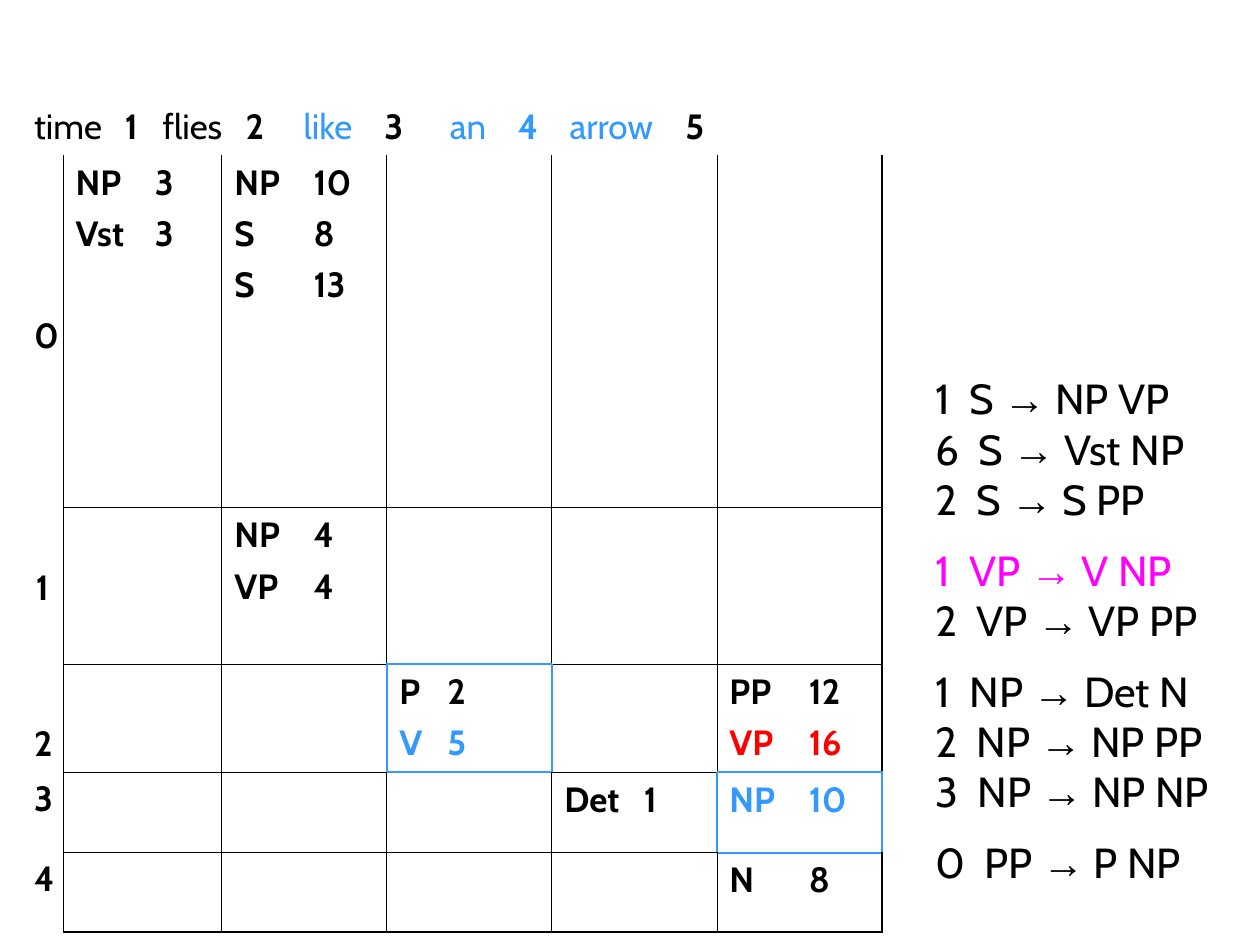
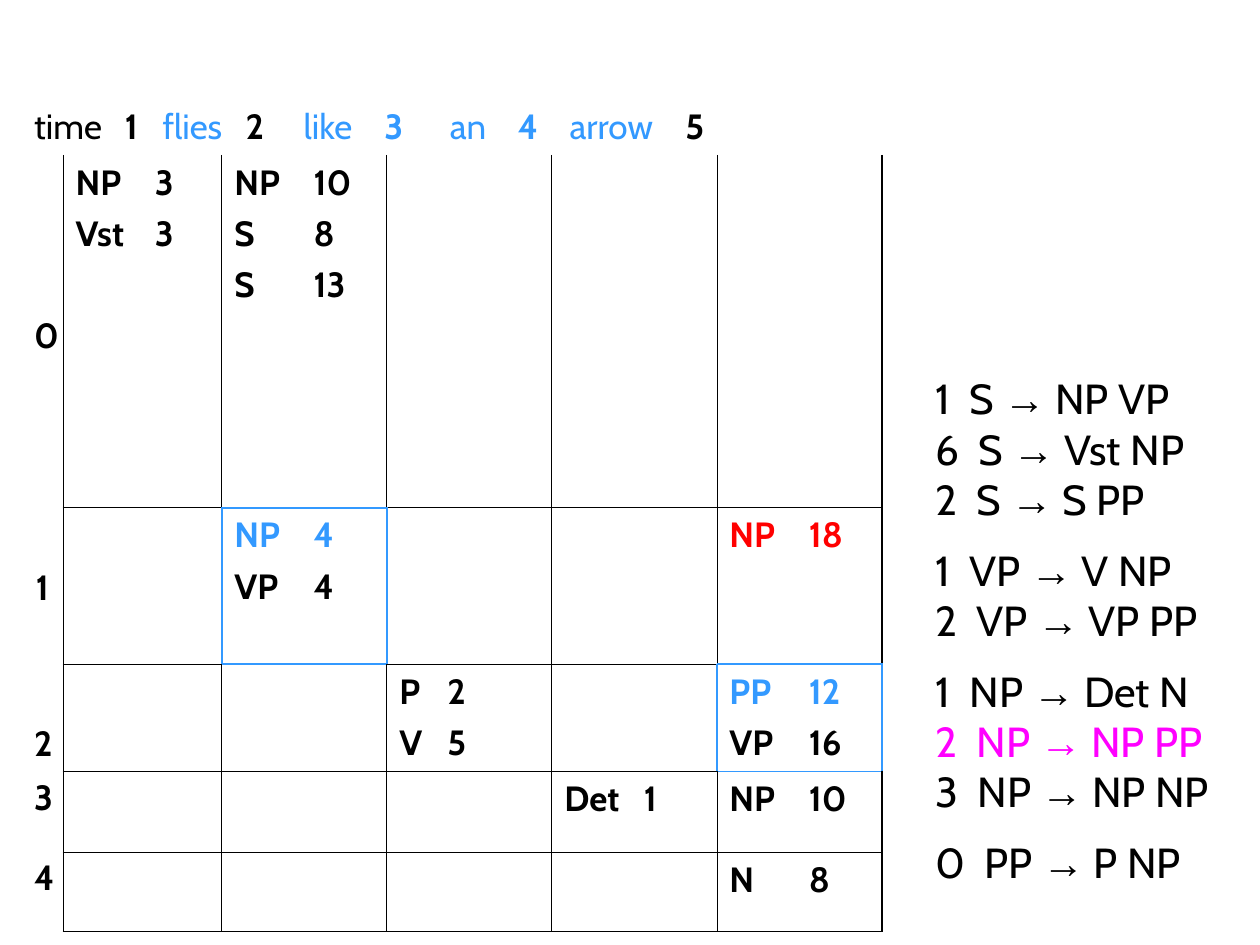
from pptx import Presentation
from pptx.dml.color import RGBColor as Rgb
from pptx.enum.text import PP_ALIGN as Align, MSO_AUTO_SIZE as AutoSize
from pptx.oxml.ns import qn
from pptx.util import Inches, Pt
from lxml.etree import SubElement

COLOURS = {"ink": "000000", "used": "3399FF", "new": "FF0000", "rule": "FF00FF"}
FONT, ARROW_FONT = "Cabin", "Arial"

# Chart geometry, in inches
CHART_BOX = (0.17, 0.79)
RULES_BOX = (7.33, 2.91, 2.67, 4.18)
COLUMN_WIDTHS = [0.33, 1.26] + [1.31] * 4
ROW_HEIGHTS = [0.44, 2.8, 1.24, 0.84, 0.64, 0.63]
LAST_ROW, LAST_COLUMN = len(ROW_HEIGHTS) - 1, len(COLUMN_WIDTHS) - 1
LABEL_TOPS = [1.27, 0.47, 0.47, 0.04, 0.04]
THIN, THICK = 0.45, 1.08

# Sentence: words with the position that follows each, and their tab stops
SENTENCE = ["time", "1", "flies", "2", "like", "3", "an", "4", "arrow", "5"]
SENTENCE_TABS = [0.72, 1.02, 1.68, 2.14, 2.78, 3.3, 3.84, 4.25, 5.17]

# Chart entries by (row, column)
ENTRIES = {
    (1, 1): ["NP\t3", "Vst\t3"],
    (1, 2): ["NP\t10", "S\t8", "S\t13"],
    (2, 2): ["NP\t4", "VP\t4"],
    (3, 3): ["P\t2", "V\t5"],
    (3, 5): ["PP\t12", "VP\t16"],
    (4, 4): ["Det\t1"],
    (4, 5): ["NP\t10"],
    (5, 5): ["N\t8"],
}
ENTRY_TAB, NARROW_TABS = 0.63, {(3, 3): 0.38}

RULE_GROUPS = [
    ["1  S → NP VP", "6  S → Vst NP", "2  S → S PP"],
    ["1  VP → V NP", "2  VP → VP PP"],
    ["1  NP → Det N", "2  NP → NP PP", "3  NP → NP NP"],
    ["0  PP → P NP"],
]

# What each step reads (blue), adds (red) and applies (magenta)
STEPS = [
    {"words": {"like", "an", "4", "arrow"}, "cells": {(3, 3), (4, 5)},
     "entries": {(3, 3, "V\t5"): "used", (4, 5, "NP\t10"): "used", (3, 5, "VP\t16"): "new"},
     "rule": "1  VP → V NP", "added": {}},
    {"words": {"flies", "like", "3", "an", "4", "arrow"}, "cells": {(2, 2), (3, 5)},
     "entries": {(2, 2, "NP\t4"): "used", (3, 5, "PP\t12"): "used", (2, 5, "NP\t18"): "new"},
     "rule": "2  NP → NP PP", "added": {(2, 5): ["NP\t18"]}},
]


def colour(name):
    return Rgb.from_string(COLOURS[name])


def add_tabs(para, stops):
    tab_list = SubElement(para._p.get_or_add_pPr(), qn("a:tabLst"))
    for stop in stops:
        SubElement(tab_list, qn("a:tab"), pos=str(Inches(stop)), algn="l")


def style(para, size, shade="ink", bold=None):
    para.font.name, para.font.size, para.font.bold = FONT, Pt(size), bold
    para.font.color.rgb = colour(shade)


def paragraphs(frame, count):
    """Return the first paragraph of the frame and as many more as needed."""
    return [frame.paragraphs[0]] + [frame.add_paragraph() for _ in range(count - 1)]


def set_border(cell, side, shade=None, width=THIN):
    line = SubElement(cell._tc.get_or_add_tcPr(), qn("a:ln" + side), w=str(Pt(width)))
    if shade is None:
        SubElement(line, qn("a:noFill"))
    else:
        fill = SubElement(line, qn("a:solidFill"))
        SubElement(fill, qn("a:srgbClr"), val=COLOURS[shade])


def draw_borders(cell, row, column, used_cells):
    """Rule the grid below the sentence and right of the labels."""
    neighbours = {"L": (row, column - 1), "R": (row, column + 1),
                  "T": (row - 1, column), "B": (row + 1, column)}
    for side, neighbour in neighbours.items():
        outside = (row == 0 or (column == 0 and side != "R")
                   or (row == 1 and side == "T"))
        outer = (side == "R" and column == LAST_COLUMN) or (side == "B" and row == LAST_ROW)
        if outside:
            set_border(cell, side)
        elif used_cells & {(row, column), neighbour}:
            set_border(cell, side, "used", THICK)
        else:
            set_border(cell, side, "ink", THICK if outer else THIN)


def write_sentence(cell, used_words):
    para = cell.text_frame.paragraphs[0]
    add_tabs(para, SENTENCE_TABS)
    style(para, 20)
    for index, word in enumerate(SENTENCE):
        span = para.add_run()
        span.text = ("\t" if index else "") + word
        span.font.bold = word.isdigit()
        span.font.color.rgb = colour("used" if word in used_words else "ink")


def write_label(cell, row):
    cell.margin_top = Inches(LABEL_TOPS[row - 1])
    para = cell.text_frame.paragraphs[0]
    para.text = str(row - 1)
    para.alignment = Align.CENTER
    style(para, 20, bold=True)


def write_entries(cell, row, column, entries, shades):
    for index, para in enumerate(paragraphs(cell.text_frame, len(entries))):
        entry = entries[index]
        para.text = entry
        add_tabs(para, [NARROW_TABS.get((row, column), ENTRY_TAB)])
        if index:
            para.space_before = Pt(5)
        style(para, 20, shades.get((row, column, entry), "ink"), True)


def add_chart_table(page, box, step):
    left, top = box
    table = page.shapes.add_table(
        len(ROW_HEIGHTS), len(COLUMN_WIDTHS), Inches(left), Inches(top),
        Inches(sum(COLUMN_WIDTHS)), Inches(sum(ROW_HEIGHTS))).table
    table.first_row = table.horz_banding = False
    for column, width in zip(table.columns, COLUMN_WIDTHS):
        column.width = Inches(width)
    for row, height in zip(table.rows, ROW_HEIGHTS):
        row.height = Inches(height)
    table.cell(0, 0).merge(table.cell(0, LAST_COLUMN))

    entries = {**ENTRIES, **step["added"]}
    for row in range(LAST_ROW + 1):
        for column in range(LAST_COLUMN + 1):
            cell = table.cell(row, column)
            draw_borders(cell, row, column, step["cells"])
            cell.fill.background()
            if (row, column) in entries:
                write_entries(cell, row, column, entries[row, column], step["entries"])
            elif row and column == 0:
                write_label(cell, row)
    write_sentence(table.cell(0, 0), step["words"])


def add_rules(page, box, applied_rule):
    frame = page.shapes.add_textbox(*map(Inches, box)).text_frame
    frame.word_wrap = True
    frame.auto_size = AutoSize.SHAPE_TO_FIT_TEXT
    rules = [rule for group in RULE_GROUPS for rule in group]
    group_starts = {group[0] for group in RULE_GROUPS[1:]}
    for rule, para in zip(rules, paragraphs(frame, len(rules))):
        if rule in group_starts:
            para.line_spacing = 1.4
        style(para, 24, "rule" if rule == applied_rule else "ink")
        for part in rule.partition("→"):
            span = para.add_run()
            span.text = part
            if part == "→":
                span.font.name = ARROW_FONT


def main():
    deck = Presentation()
    deck.slide_width, deck.slide_height = Inches(10), Inches(7.5)
    for step in STEPS:
        page = deck.slides.add_slide(deck.slide_layouts[6])
        add_chart_table(page, CHART_BOX, step)
        add_rules(page, RULES_BOX, step["rule"])
    deck.save("out.pptx")


if __name__ == "__main__":
    main()
